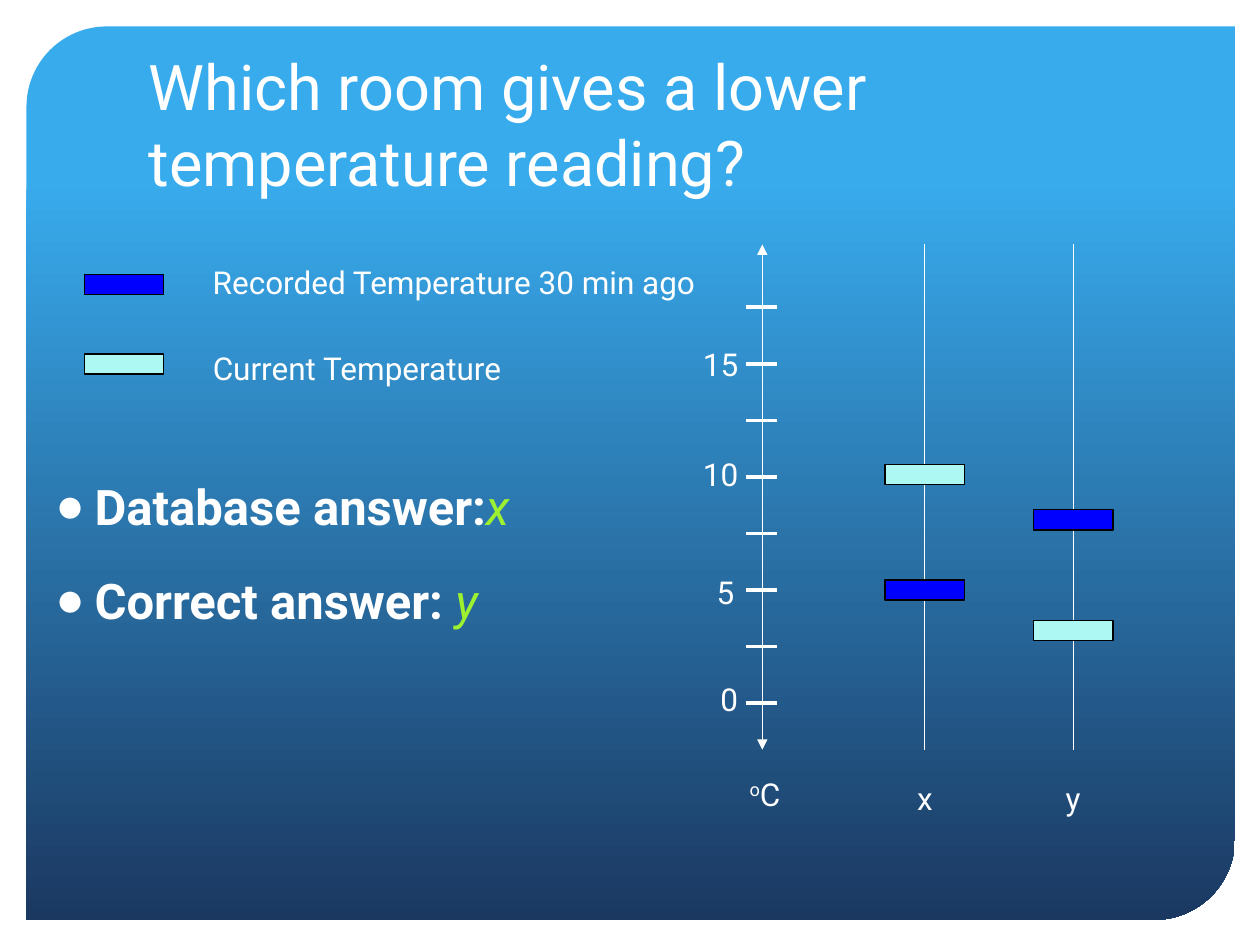
from lxml import etree
from pptx import Presentation
from pptx.dml.color import RGBColor
from pptx.enum.shapes import MSO_CONNECTOR, MSO_SHAPE
from pptx.enum.text import MSO_ANCHOR, MSO_AUTO_SIZE, PP_ALIGN
from pptx.oxml.ns import qn
from pptx.util import Inches, Pt

FONT, BULLET_FONT = "Roboto", "Arial"
COLORS = {
    "sky": "38ABED", "navy": "1B3861", "white": "FFFFFF", "black": "000000",
    "recorded": "0000FF", "current": "AEF8F4", "answer": "9DF131",
}

TITLE = "Which room gives a lower temperature reading?"
ANSWERS = [("Database answer:", "x"), ("Correct answer: ", "y")]
# series, marker top, text, text top, text width
LEGEND = [
    ("recorded", 2.18, "Recorded Temperature 30 min ago", 2.04, 4.16),
    ("current", 2.81, "Current Temperature", 2.72, 2.61),
]
# room, line x, label left, readings in degrees
ROOMS = [
    ("x", 7.34, 7.18, {"current": 10.1, "recorded": 5}),
    ("y", 8.52, 8.36, {"current": 3.2, "recorded": 8.1}),
]
# text, left, top, width
SCALE_LABELS = [
    ("0", 5.62, 5.35, 0.34), ("5", 5.59, 4.5, 0.34),
    ("10", 5.48, 3.56, 0.48), ("15", 5.48, 2.69, 0.48),
]

AXIS_X, AXIS_TOP, AXIS_BOTTOM = 6.05, 1.94, 5.95
TICK_LEFT, TICK_RIGHT = 5.92, 6.17
TICKS = [0, 2.5, 5, 7.5, 10, 12.5, 15, 17.5]
ZERO_Y, TOP_TICK_Y = 5.58, 2.44
MARKER_WIDTH, MARKER_HEIGHT = 0.63, 0.16


def color(name):
    return RGBColor.from_string(COLORS[name])


def scale_y(degrees):
    return ZERO_Y - (ZERO_Y - TOP_TICK_Y) * degrees / TICKS[-1]


def place(shape, left, top, width, height):
    shape.left, shape.top = Inches(left), Inches(top)
    shape.width, shape.height = Inches(width), Inches(height)


def add_run(paragraph, text, size, color_name="white", bold=False, italic=False):
    run = paragraph.add_run()
    run.text = text
    font = run.font
    font.name, font.size, font.bold, font.italic = FONT, Pt(size), bold, italic
    font.color.rgb = color(color_name)


def add_label(slide, text, left, top, width):
    box = slide.shapes.add_textbox(Inches(left), Inches(top), Inches(width), Inches(0.4))
    box.text_frame.word_wrap = False
    box.text_frame.auto_size = MSO_AUTO_SIZE.SHAPE_TO_FIT_TEXT
    add_run(box.text_frame.paragraphs[0], text, 18)
    return box


def add_line(slide, x1, y1, x2, y2, width, arrows=False):
    line = slide.shapes.add_connector(
        MSO_CONNECTOR.STRAIGHT, Inches(x1), Inches(y1), Inches(x2), Inches(y2))
    line.line.color.rgb = color("white")
    line.line.width = Pt(width)
    if arrows:
        outline = line._element.spPr.find(qn("a:ln"))
        for end in ("a:headEnd", "a:tailEnd"):
            etree.SubElement(outline, qn(end), type="triangle")
    etree.SubElement(line._element.spPr, qn("a:effectLst"))


def add_marker(slide, series, left, top):
    marker = slide.shapes.add_shape(
        MSO_SHAPE.RECTANGLE, Inches(left), Inches(top),
        Inches(MARKER_WIDTH), Inches(MARKER_HEIGHT))
    marker.shadow.inherit = False
    marker.fill.solid()
    marker.fill.fore_color.rgb = color(series)
    marker.line.color.rgb = color("black")
    marker.line.width = Pt(0.75)


def add_background(slide):
    panel = slide.shapes.add_shape(
        MSO_SHAPE.ROUND_2_DIAG_RECTANGLE, Inches(0.21), Inches(0.21), Inches(9.59), Inches(7.09))
    panel.adjustments[0], panel.adjustments[1] = 0.09, 0
    panel.shadow.inherit = False
    panel.line.fill.background()
    panel.fill.gradient()
    panel.fill.gradient_angle = 270
    stops = zip(panel.fill.gradient_stops, [(0.17, "sky"), (1, "navy")])
    for stop, (position, name) in stops:
        stop.position = position
        stop.color.rgb = color(name)
    slide.shapes._spTree.insert(2, panel._element)  # behind the placeholders


def fill_title(title):
    place(title, 1.08, 0.42, 8.06, 1.21)
    frame = title.text_frame
    frame.vertical_anchor = MSO_ANCHOR.BOTTOM
    frame.auto_size = MSO_AUTO_SIZE.NONE
    frame.paragraphs[0].alignment = PP_ALIGN.LEFT
    add_run(frame.paragraphs[0], TITLE, 36)


def fill_answers(body):
    place(body, 0.34, 3.73, 4.39, 2.73)
    frame = body.text_frame
    frame.auto_size = MSO_AUTO_SIZE.NONE
    for index, (label, answer) in enumerate(ANSWERS):
        paragraph = frame.add_paragraph() if index else frame.paragraphs[0]
        paragraph.space_before = Pt(20)
        properties = paragraph._p.get_or_add_pPr()
        properties.set("marL", str(Inches(0.31)))
        properties.set("indent", str(-Inches(0.31)))
        etree.SubElement(properties, qn("a:buFont"), typeface=BULLET_FONT)
        etree.SubElement(properties, qn("a:buChar"), char="●")
        add_run(paragraph, label, 28, bold=True)
        add_run(paragraph, answer, 28, "answer", italic=True)


def draw_chart(slide):
    for room, x, label_left, readings in ROOMS:
        add_line(slide, x, AXIS_TOP, x, AXIS_BOTTOM, 0.75)
        for series, degrees in readings.items():
            add_marker(slide, series, x - MARKER_WIDTH / 2, scale_y(degrees) - MARKER_HEIGHT / 2)
        add_label(slide, room, label_left, 6.13, 0.33)

    add_line(slide, AXIS_X, AXIS_TOP, AXIS_X, AXIS_BOTTOM, 0.75, arrows=True)
    for degrees in TICKS:
        y = scale_y(degrees)
        add_line(slide, TICK_LEFT, y, TICK_RIGHT, y, 2.25)
    for label in SCALE_LABELS:
        add_label(slide, *label)

    unit = add_label(slide, "o", 5.85, 6.1, 0.48).text_frame.paragraphs[0]
    unit.runs[0].font._element.set("baseline", "30000")
    add_run(unit, "C", 18)


def main():
    presentation = Presentation()
    presentation.slide_width, presentation.slide_height = Inches(10), Inches(7.5)
    slide = presentation.slides.add_slide(presentation.slide_layouts[1])
    add_background(slide)
    fill_title(slide.shapes.title)
    fill_answers(slide.placeholders[1])
    for series, marker_top, text, text_top, width in LEGEND:
        add_marker(slide, series, 0.67, marker_top)
        add_label(slide, text, 1.59, text_top, width)
    draw_chart(slide)
    presentation.save("out.pptx")


if __name__ == "__main__":
    main()
